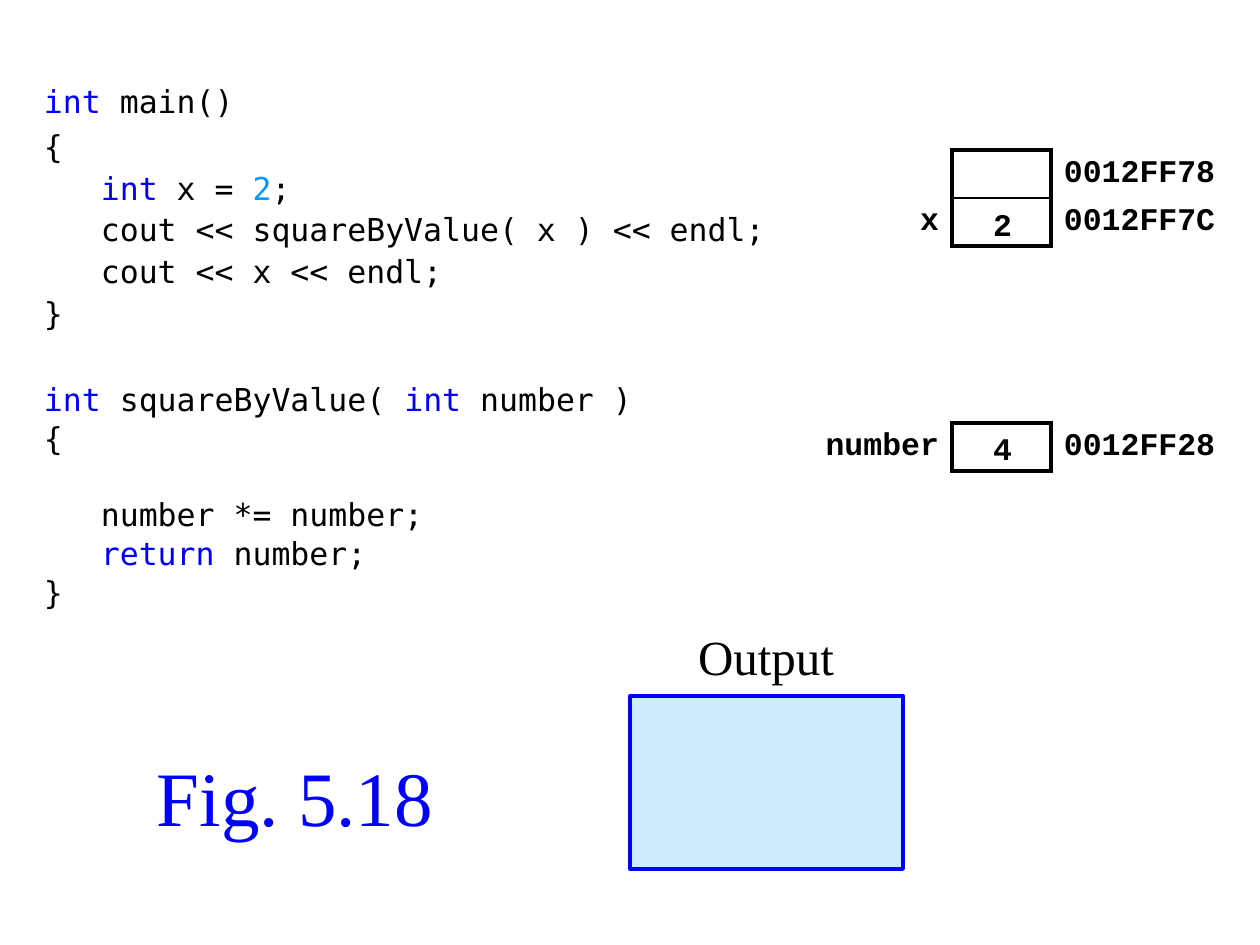
import pptx
import pptx.dml.color
import pptx.enum.shapes
import pptx.enum.text
import pptx.oxml
import pptx.oxml.ns
import pptx.util

PX = 914400 / 126
BLACK, BLUE, AZURE, PALE = "000000", "0000FF", "0099FF", "CCECFF"
CODE, MEMORY, PROSE = "DejaVu Sans Mono", "Courier New", "Times New Roman"
ALIGN = pptx.enum.text.PP_ALIGN
ANCHOR = pptx.enum.text.MSO_ANCHOR
THICK, THIN = 2.25, 1


def px(length):
    return pptx.util.Emu(round(length * PX))


def color(value):
    return pptx.dml.color.RGBColor.from_string(value)


class Slide:
    def __init__(self, deck):
        self.slide = deck.slides.add_slide(deck.slide_layouts[6])

    def run(self, paragraph, text, size, font, ink, bold=False):
        run = paragraph.add_run()
        run.text = text
        run.font.size = pptx.util.Pt(size)
        run.font.name = font
        run.font.bold = bold
        run.font.color.rgb = color(ink)

    def frame(self, box, wrap=True, anchor=ANCHOR.TOP):
        frame = self.slide.shapes.add_textbox(*map(px, box)).text_frame
        frame.word_wrap = wrap
        frame.vertical_anchor = anchor
        frame.margin_top = frame.margin_bottom = px(6)
        return frame

    def label(self, box, text, size, font, ink=BLACK, bold=False,
              wrap=True, anchor=ANCHOR.TOP):
        paragraph = self.frame(box, wrap, anchor).paragraphs[0]
        paragraph.alignment = ALIGN.CENTER
        self.run(paragraph, text, size, font, ink, bold)

    def code(self, box, lines):
        frame = self.frame(box)
        frame.margin_left = frame.margin_right = px(10)
        for index, (gap, parts) in enumerate(lines):
            paragraph = frame.add_paragraph() if index else frame.paragraphs[0]
            if index:
                paragraph.space_before = pptx.util.Pt(gap)
            for text, ink in parts:
                self.run(paragraph, text, 18, CODE, ink)

    def panel(self, box, fill, line):
        panel = self.slide.shapes.add_shape(
            pptx.enum.shapes.MSO_SHAPE.RECTANGLE, *map(px, box))
        panel.shadow.inherit = False
        panel.fill.solid()
        panel.fill.fore_color.rgb = color(fill)
        panel.line.color.rgb = color(line)
        panel.line.width = pptx.util.Pt(THICK)

    def borders(self, cell, widths):
        properties = cell._tc.get_or_add_tcPr()
        for side in "LRTB":
            width = widths.get(side, 0)
            paint = (f'<a:solidFill><a:srgbClr val="{BLACK}"/></a:solidFill>'
                     if width else "<a:noFill/>")
            properties.append(pptx.oxml.parse_xml(
                f'<a:ln{side} {pptx.oxml.ns.nsdecls("a")} '
                f'w="{pptx.util.Pt(width)}">{paint}</a:ln{side}>'))

    def memory(self, left, top, columns, rows):
        height = 48
        table = self.slide.shapes.add_table(
            len(rows), len(columns),
            *map(px, (left, top, sum(columns), height * len(rows)))).table
        table.first_row = table.horz_banding = False
        for column, width in zip(table.columns, columns):
            column.width = px(width)
        for index, (name, address) in enumerate(rows):
            table.rows[index].height = px(height)
            value_edges = {
                "L": THICK, "R": THICK,
                "T": THIN if index else THICK,
                "B": THIN if index < len(rows) - 1 else THICK}
            cells = ((name, ALIGN.RIGHT, {"R": THICK}),
                     ("", ALIGN.CENTER, value_edges),
                     (address, ALIGN.LEFT, {"L": THICK}))
            for column, (text, align, edges) in enumerate(cells):
                cell = table.cell(index, column)
                cell.vertical_anchor = ANCHOR.MIDDLE
                cell.margin_top = cell.margin_bottom = px(5)
                cell.margin_left = px(13 if column == 2 else 5)
                cell.margin_right = px(13 if column == 0 else 5)
                self.borders(cell, edges)
                cell.fill.background()
                if text:
                    paragraph = cell.text_frame.paragraphs[0]
                    paragraph.alignment = align
                    self.run(paragraph, text, 18, MEMORY, BLACK, True)


def main():
    deck = pptx.Presentation()
    deck.slide_width, deck.slide_height = px(1260), px(945)
    page = Slide(deck)

    page.label((134, 746, 322, 100), "Fig. 5.18", 44, PROSE, BLUE,
               anchor=ANCHOR.MIDDLE)
    page.code((34, 76, 745, 273), [
        (0, [("int", BLUE), (" main()", BLACK)]),
        (4.2, [("{", BLACK)]),
        (2.2, [("   int", BLUE), (" x = ", BLACK), ("2", AZURE), (";", BLACK)]),
        (2.2, [("   cout << squareByValue( x ) << endl;", BLACK)]),
        (2.2, [("   cout << x << endl;", BLACK)]),
        (2.2, [("}", BLACK)]),
    ])
    page.code((34, 374, 620, 199), [
        (0, [("int ", BLUE), ("squareByValue( ", BLACK), ("int", BLUE),
             (" number )", BLACK)]),
        (0.5, [("{", BLACK)]),
        (22.2, [("   number *= number;", BLACK)]),
        (0.5, [("   return", BLUE), (" number;", BLACK)]),
        (0.5, [("}", BLACK)]),
    ])

    page.memory(903, 150, (49, 99, 174), [("", "0012FF78"), ("x", "0012FF7C")])
    page.memory(803, 423, (149, 99, 174), [("number", "0012FF28")])
    for top, value in ((199, "2"), (423, "4")):
        page.label((978, top, 49, 49), value, 18, MEMORY, bold=True,
                   wrap=False, anchor=ANCHOR.MIDDLE)

    page.panel((630, 696, 273, 173), PALE, BLUE)
    page.label((679, 621, 174, 74), "Output", 28, PROSE)
    deck.save("out.pptx")


if __name__ == "__main__":
    main()
